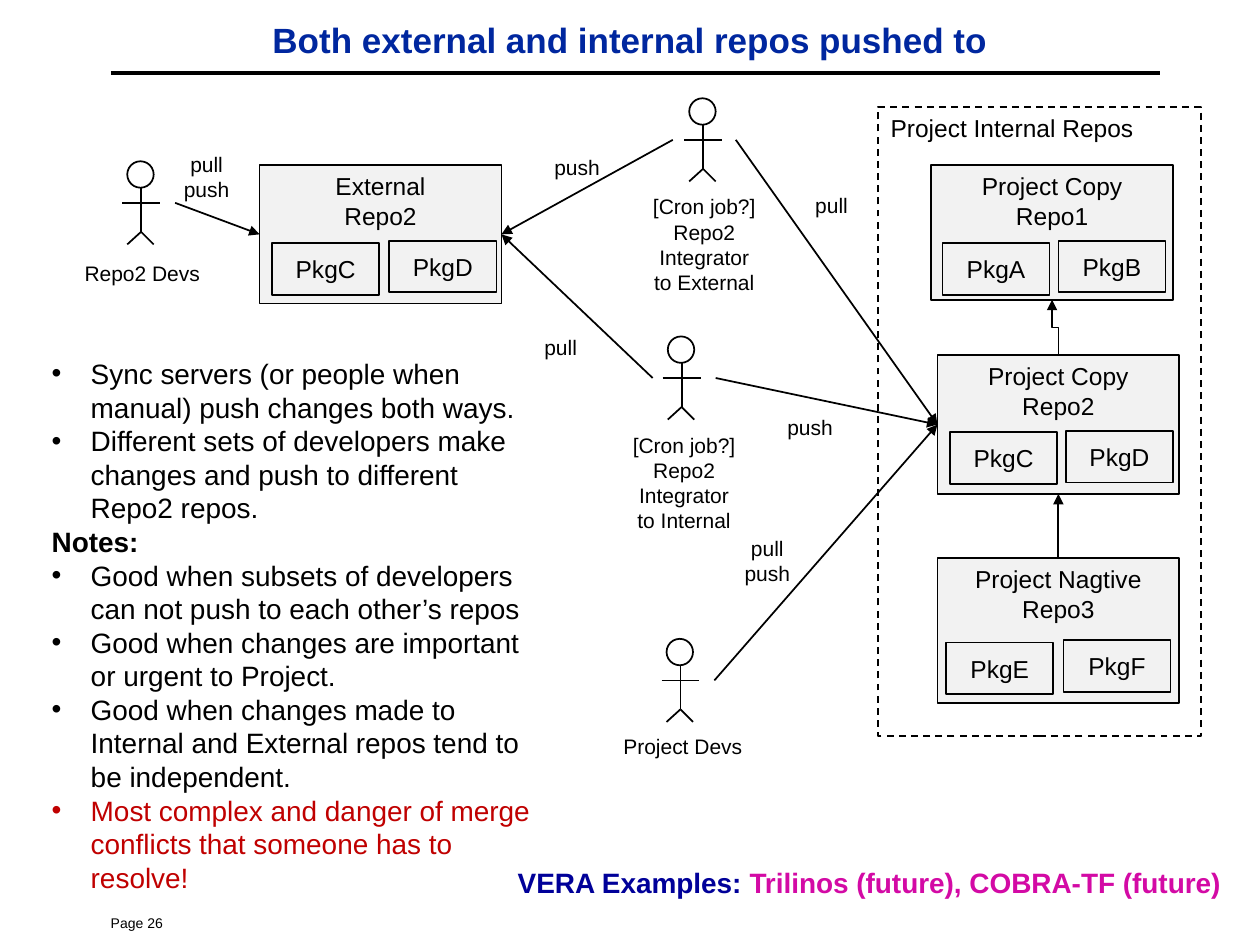
from dataclasses import dataclass

from lxml import etree
from pptx import Presentation
from pptx.dml.color import RGBColor
from pptx.enum import dml, shapes, text
from pptx.oxml import ns
from pptx.util import Inches, Pt


@dataclass(frozen=True)
class Theme:
    font: str = "Arial"
    ink: str = "000000"
    box: str = "F2F2F2"
    title: str = "00279F"
    warning: str = "C00000"
    label: str = "000099"
    example: str = "D30AA5"
    title_size: int = 20
    body_size: int = 16
    box_size: int = 14
    label_size: int = 12
    page_size: int = 8


theme = Theme()
LEFT, CENTER, RIGHT = text.PP_ALIGN.LEFT, text.PP_ALIGN.CENTER, text.PP_ALIGN.RIGHT
TOP, MIDDLE = text.MSO_ANCHOR.TOP, text.MSO_ANCHOR.MIDDLE
STRAIGHT, ELBOW = shapes.MSO_CONNECTOR.STRAIGHT, shapes.MSO_CONNECTOR.ELBOW
RECTANGLE, OVAL = shapes.MSO_SHAPE.RECTANGLE, shapes.MSO_SHAPE.OVAL


def write(frame, words, size=theme.label_size, color=theme.ink, bold=False,
          align=CENTER, anchor=TOP, same_line=False):
    frame.word_wrap = True
    frame.vertical_anchor = anchor
    for line in words.split("\n"):
        if same_line or not frame.text:
            paragraph = frame.paragraphs[-1]
        else:
            paragraph = frame.add_paragraph()
        paragraph.alignment = align
        paragraph.space_before = Pt(0)
        run = paragraph.add_run()
        run.text = line
        run.font.name = theme.font
        run.font.size = Pt(size)
        run.font.bold = bold
        run.font.color.rgb = RGBColor.from_string(color)
    return paragraph


def connect(parent, start, end, kind=STRAIGHT, width=1, arrow=False):
    line = parent.add_connector(kind, *map(Inches, (*start, *end)))
    line.line.color.rgb = RGBColor.from_string(theme.ink)
    line.line.width = Pt(width)
    if arrow:
        etree.SubElement(line.line._get_or_add_ln(), ns.qn("a:tailEnd"), type="triangle")
    etree.SubElement(line._element.spPr, ns.qn("a:effectLst"))
    return line


deck = Presentation()
deck.slide_width, deck.slide_height = Inches(10), Inches(7.5)
slide = deck.slides.add_slide(deck.slide_layouts[1])
canvas = slide.shapes

title, notes = slide.placeholders
title.left, title.top, title.width, title.height = map(Inches, (0.75, 0.1, 8.5, 0.42))
write(title.text_frame, "Both external and internal repos pushed to",
      size=theme.title_size, color=theme.title, bold=True, anchor=MIDDLE)
connect(canvas, (0.88, 0.58), (9.21, 0.58), width=2)

notes.left, notes.top, notes.width, notes.height = map(Inches, (0.12, 2.78, 4.25, 4.36))
notes.text_frame.auto_size = text.MSO_AUTO_SIZE.SHAPE_TO_FIT_TEXT
for item, color, bulleted in [
    ("Sync servers (or people when manual) push changes both ways.", theme.ink, True),
    ("Different sets of developers make changes and push to different Repo2 repos.", theme.ink, True),
    ("Notes:", theme.ink, False),
    ("Good when subsets of developers can not push to each other’s repos", theme.ink, True),
    ("Good when changes are important or urgent to Project.", theme.ink, True),
    ("Good when changes made to Internal and External repos tend to be independent.", theme.ink, True),
    ("Most complex and danger of merge conflicts that someone has to resolve!", theme.warning, True),
]:
    paragraph = write(notes.text_frame, item, size=theme.body_size, color=color,
                      bold=not bulleted, align=LEFT)
    properties = paragraph._p.get_or_add_pPr()
    properties.set("marL", str(Inches(0.5)))
    properties.set("indent", str(Inches(-0.31)))
    if bulleted:
        bullet_color = etree.SubElement(properties, ns.qn("a:buClr"))
        etree.SubElement(bullet_color, ns.qn("a:srgbClr"), val=color)
        etree.SubElement(properties, ns.qn("a:buFont"), typeface=theme.font)
        etree.SubElement(properties, ns.qn("a:buChar"), char="•")
    else:
        etree.SubElement(properties, ns.qn("a:buNone"))

repos = {
    "external": ("External\nRepo2", (2.06, 1.31, 1.92, 1.1), [("PkgC", 2.16, 1.93), ("PkgD", 3.09, 1.91)]),
    "repo1": ("Project Copy\nRepo1", (7.39, 1.31, 1.92, 1.07), [("PkgA", 7.48, 1.93), ("PkgB", 8.4, 1.91)]),
    "repo2": ("Project Copy\nRepo2", (7.44, 2.82, 1.92, 1.1), [("PkgC", 7.54, 3.43), ("PkgD", 8.46, 3.42)]),
    "repo3": ("Project Nagtive\nRepo3", (7.44, 4.43, 1.92, 1.15), [("PkgE", 7.51, 5.1), ("PkgF", 8.44, 5.08)]),
}
blocks = []
for heading, bounds, packages in repos.values():
    blocks.append((heading, bounds, TOP))
    blocks += [(name, (x, y, 0.85, 0.41), MIDDLE) for name, x, y in packages]
internal = "Project Internal Repos"
blocks.append((internal, (6.97, 0.85, 2.56, 4.99), TOP))

drawn = {}
for heading, bounds, anchor in blocks:
    block = canvas.add_shape(RECTANGLE, *map(Inches, bounds))
    block.shadow.inherit = False
    block.line.color.rgb = RGBColor.from_string(theme.ink)
    block.line.width = Pt(1)
    if heading == internal:
        block.fill.background()
        block.line.dash_style = dml.MSO_LINE.DASH
    else:
        block.fill.solid()
        block.fill.fore_color.rgb = RGBColor.from_string(theme.box)
    write(block.text_frame, heading, size=theme.box_size, anchor=anchor,
          align=LEFT if heading == internal else CENTER)
    drawn[heading] = block

for source, target in [("repo2", "repo1"), ("repo3", "repo2")]:
    left, bottom, width, _ = repos[source][1]
    target_left, target_top, target_width, target_height = repos[target][1]
    start_x, end_x = left + width / 2, target_left + target_width / 2
    end_y = target_top + target_height
    middle_x, middle_y = (start_x + end_x) / 2, (bottom + end_y) / 2
    rise, drift = (bottom - end_y) / 2, (start_x - end_x) / 2
    elbow = connect(canvas, (middle_x - rise, middle_y + drift),
                    (middle_x + rise, middle_y - drift), kind=ELBOW, arrow=True)
    elbow._element.spPr.xfrm.set("rot", str(270 * 60000))

for x, y in [(1.12, 1.28), (5.58, 0.78), (5.41, 2.67), (5.4, 5.07)]:
    figure = canvas.add_group_shape().shapes
    head = figure.add_shape(OVAL, *map(Inches, (x - 0.11, y, 0.21, 0.21)))
    head.shadow.inherit = False
    head.fill.background()
    head.line.color.rgb = RGBColor.from_string(theme.ink)
    head.line.width = Pt(1)
    hip = (x, y + 0.56)
    connect(figure, (x, y + 0.21), hip)
    connect(figure, (x - 0.15, y + 0.33), (x + 0.15, y + 0.33))
    for foot in (-0.11, 0.1):
        connect(figure, hip, (x + foot, y + 0.66))

LEFT_SIDE, RIGHT_SIDE = 1, 3
for start, heading, side in [
    ((1.39, 1.61), "External\nRepo2", LEFT_SIDE),
    ((5.34, 1.11), "External\nRepo2", RIGHT_SIDE),
    ((5.18, 3), "External\nRepo2", RIGHT_SIDE),
    ((5.84, 1.11), "Project Copy\nRepo2", LEFT_SIDE),
    ((5.68, 3), "Project Copy\nRepo2", LEFT_SIDE),
    ((5.67, 5.4), "Project Copy\nRepo2", LEFT_SIDE),
]:
    connect(canvas, start, start, arrow=True).end_connect(drawn[heading], side)

for words, x, y, height in [
    ("Repo2 Devs", 0.46, 2.02, 0.3),
    ("[Cron job?] Repo2 Integrator\nto External", 4.92, 1.49, 0.9),
    ("[Cron job?] Repo2 Integrator\nto Internal", 4.76, 3.38, 0.9),
    ("Project Devs", 4.75, 5.77, 0.3),
    ("pull\npush", 0.97, 1.15, 0.5),
    ("push", 3.91, 1.18, 0.3),
    ("pull", 3.78, 2.61, 0.3),
    ("pull", 5.93, 1.48, 0.3),
    ("push", 5.76, 3.24, 0.3),
    ("pull\npush", 5.42, 4.2, 0.5),
]:
    label = canvas.add_textbox(*map(Inches, (x, y, 1.34, height)))
    write(label.text_frame, words)

examples = canvas.add_textbox(*map(Inches, (3.98, 6.82, 5.81, 0.37))).text_frame
write(examples, "VERA Examples: ", size=theme.body_size, color=theme.label, bold=True, align=RIGHT)
write(examples, "Trilinos (future), COBRA-TF (future)", size=theme.body_size,
      color=theme.example, bold=True, align=RIGHT, same_line=True)

page = canvas.add_textbox(*map(Inches, (0.78, 7.21, 2.08, 0.22)))
write(page.text_frame, "Page 26", size=theme.page_size, align=LEFT)

deck.save("out.pptx")
